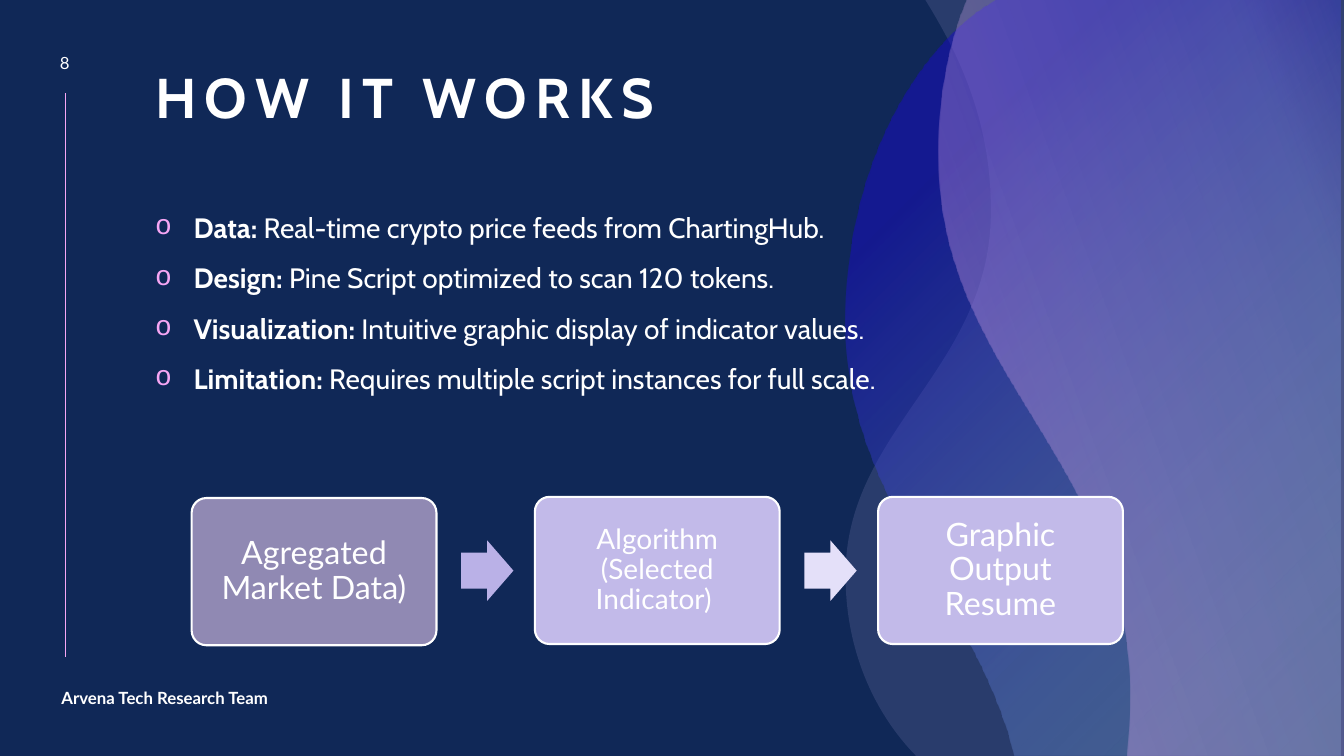
import pptx
import pptx.util
import pptx.dml.color
import pptx.enum.shapes
import pptx.enum.text
import pptx.oxml
import pptx.oxml.ns
from lxml import etree

Cm = pptx.util.Cm
Pt = pptx.util.Pt
SHAPES = pptx.enum.shapes.MSO_SHAPE
ALIGN = pptx.enum.text.PP_ALIGN
ANCHOR = pptx.enum.text.MSO_ANCHOR
qn = pptx.oxml.ns.qn
NS = 'xmlns:a="http://schemas.openxmlformats.org/drawingml/2006/main"'
W, H = 33.87, 19.05
CORNER = '<a:path path="circle"><a:fillToRect l="100000" t="100000"/></a:path>'

# Each wave: top edge x, right edge, bottom edge x, start of the curve,
# then three points (two controls, one end) per Bézier segment
BACK_WAVE = (23.32, W, 23.09, (23.06, 19.02), [
    (22.1, 18.03), (21.29, 16.46), (21.31, 14.43),
    (21.34, 10.85), (24.89, 9.3), (24.97, 5.46),
    (25.02, 3.07), (24.13, 1.32), (23.37, 0.08)])
BLUE_WAVE = (25.1, 33.78, 25.55, (25.43, 18.57), [
    (24.28, 14.81), (21.34, 12.5), (21.31, 8.18),
    (21.29, 4.19), (23.09, 1.4), (24.71, 0.25)])
PINK_WAVE = (24.36, W, 28.4, (28.45, 18.31), [
    (28.47, 17.98), (28.47, 17.63), (28.47, 17.3),
    (28.37, 11.63), (23.67, 9.35), (23.65, 4.04),
    (23.62, 2.69), (23.83, 1.5), (24.18, 0.46)])

BULLETS = [
    ("Data:", " Real-time crypto price feeds from ChartingHub."),
    ("Design:", " Pine Script optimized to scan 120 tokens."),
    ("Visualization: ", "Intuitive graphic display of indicator values."),
    ("Limitation: ", "Requires multiple script instances for full scale."),
]
# Text, size, inset, top, fill
STEPS = [
    ("Agregated Market Data)", 23, 0.27, 12.55, "9089B3"),
    ("Algorithm (Selected Indicator) ", 20, 0.2, 12.52, "C2BAE9"),
    ("Graphic Output Resume", 23, 0.27, 12.52, "C2BAE9"),
]
ARROW_FILLS = ["BAB1E7", "E4E0F9"]
STEP_PITCH = 8.65


def rgb(hex_color):
    return pptx.dml.color.RGBColor.from_string(hex_color)


def bend(sp, count):
    """Turn the last count line segments, three at a time, into Béziers."""
    lines = sp._element.findall(".//" + qn("a:lnTo"))[-count:]
    for i in range(0, count, 3):
        curve = pptx.oxml.parse_xml(f"<a:cubicBezTo {NS}/>")
        lines[i].addprevious(curve)
        for line in lines[i:i + 3]:
            curve.append(line[0])
            line.getparent().remove(line)


def color_xml(color, alpha):
    return (f'<a:srgbClr val="{color}"><a:alpha val="{alpha * 1000}"/>'
            '</a:srgbClr>')


def solid_xml(color, alpha):
    return f'<a:solidFill {NS}>{color_xml(color, alpha)}</a:solidFill>'


def gradient_xml(stops, direction):
    gs = "".join(f'<a:gs pos="{pos * 1000}">{color_xml(color, alpha)}</a:gs>'
                 for pos, color, alpha in stops)
    return (f'<a:gradFill {NS} rotWithShape="1"><a:gsLst>{gs}</a:gsLst>'
            f'{direction}</a:gradFill>')


def add_text(p, text, size=12, font="Lato", bold=False, spacing=0):
    r = p.add_run()
    r.text = text
    r.font.size = Pt(size)
    r.font.name = font
    r.font.bold = bold
    r.font.color.rgb = rgb("FFFFFF")
    if spacing:
        r.font._element.set("spc", str(spacing * 100))


def add_bullet(p, char, color, indent):
    pPr = p._p.get_or_add_pPr()
    pPr.set("marL", str(Cm(indent)))
    pPr.set("indent", str(-Cm(indent)))
    for xml in (f'<a:buClr {NS}><a:srgbClr val="{color}"/></a:buClr>',
                f'<a:buFont {NS} typeface="Courier New"/>',
                f'<a:buChar {NS} char="{char}"/>'):
        pPr.append(pptx.oxml.parse_xml(xml))


class Deck:
    """Holds the presentation and the current slide."""

    def __init__(self, background):
        self.prs = pptx.Presentation()
        self.prs.slide_width = Cm(W)
        self.prs.slide_height = Cm(H)
        self.s = self.prs.slides.add_slide(self.prs.slide_layouts[6])
        fill = self.s.background.fill
        fill.solid()
        fill.fore_color.rgb = rgb(background)

    def wave(self, outline, fill_xml):
        top, right, bottom, start, curve = outline
        points = [(right, 0), (right, H), (bottom, H), start] + curve
        fb = self.s.shapes.build_freeform(Cm(top), 0)
        fb.add_line_segments([(Cm(x), Cm(y)) for x, y in points], close=False)
        sp = fb.convert_to_shape()
        bend(sp, len(curve))
        path = sp._element.find(".//" + qn("a:path"))
        path.append(pptx.oxml.parse_xml(f"<a:close {NS}/>"))
        sp.shadow.inherit = False
        sp.line.fill.background()
        sp.fill.background()
        no_fill = sp._element.spPr.find(qn("a:noFill"))
        no_fill.getparent().replace(no_fill, pptx.oxml.parse_xml(fill_xml))

    def line(self, x1, y1, x2, y2, color, width):
        sp = self.s.shapes.add_connector(
            pptx.enum.shapes.MSO_CONNECTOR.STRAIGHT,
            Cm(x1), Cm(y1), Cm(x2), Cm(y2))
        sp.line.color.rgb = rgb(color)
        sp.line.width = Pt(width)
        etree.SubElement(sp._element.spPr, qn("a:effectLst"))

    def shape(self, kind, x, y, w, h, fill, adjustments, outline=0):
        sp = self.s.shapes.add_shape(kind, Cm(x), Cm(y), Cm(w), Cm(h))
        sp.shadow.inherit = False
        for i, value in enumerate(adjustments):
            sp.adjustments[i] = value
        sp.fill.solid()
        sp.fill.fore_color.rgb = rgb(fill)
        if outline:
            sp.line.color.rgb = rgb("FFFFFF")
            sp.line.width = Pt(outline)
        else:
            sp.line.fill.background()
        return sp

    def card(self, x, y, text, size, inset, fill):
        sp = self.shape(SHAPES.ROUNDED_RECTANGLE, x, y, 6.17, 3.71, fill,
                        [0.1], outline=1.5)
        tf = sp.text_frame
        tf.word_wrap = True
        tf.vertical_anchor = ANCHOR.MIDDLE
        tf.margin_left = tf.margin_right = Cm(inset)
        tf.margin_top = tf.margin_bottom = Cm(inset)
        p = tf.paragraphs[0]
        p.alignment = ALIGN.CENTER
        p.line_spacing = 0.9
        add_text(p, text, size=size)

    def text_box(self, x, y, w, h, anchor=ANCHOR.MIDDLE):
        tf = self.s.shapes.add_textbox(Cm(x), Cm(y), Cm(w), Cm(h)).text_frame
        tf.word_wrap = True
        tf.vertical_anchor = anchor
        return tf

    def label(self, x, y, w, h, text, align=ALIGN.LEFT, anchor=ANCHOR.MIDDLE,
              line_spacing=1.0, **style):
        p = self.text_box(x, y, w, h, anchor).paragraphs[0]
        p.alignment = align
        p.line_spacing = line_spacing
        add_text(p, text, **style)

    def bullet_list(self, x, y, w, h, items):
        tf = self.text_box(x, y, w, h)
        for i, (term, detail) in enumerate(items):
            p = tf.add_paragraph() if i else tf.paragraphs[0]
            p.line_spacing = 1.5
            add_bullet(p, "o", "F6A6F4", 0.97)
            add_text(p, term, size=20, font="Cabin", bold=True)
            add_text(p, detail, size=20, font="Cabin")


def main():
    deck = Deck("102857")
    deck.line(1.65, 2.35, 1.65, 16.56, "F6A6F4", 0.5)
    deck.wave(BACK_WAVE, solid_xml("C3B9F2", 14))
    deck.wave(BLUE_WAVE, gradient_xml(
        [(4, "92CDF0", 24), (79, "180DC2", 52)], CORNER))
    deck.wave(PINK_WAVE, gradient_xml(
        [(1, "F6A6F4", 38), (84, "C3B9F2", 20), (100, "F6A6F4", 3)],
        f'<a:lin ang="{340 * 60000}" scaled="0"/>'))

    deck.label(0.91, 1.16, 1.45, 0.86, "8", align=ALIGN.CENTER)
    deck.label(3.66, 0.44, 24.66, 2.97, "HOW IT WORKS", anchor=ANCHOR.BOTTOM,
               line_spacing=0.9, size=40, font="Cabin", bold=True, spacing=6)
    for i, (text, size, inset, top, fill) in enumerate(STEPS):
        deck.card(4.83 + i * STEP_PITCH, top, text, size, inset, fill)
    for i, fill in enumerate(ARROW_FILLS):
        deck.shape(SHAPES.RIGHT_ARROW, 11.62 + i * STEP_PITCH, 13.62,
                   1.32, 1.52, fill, [0.6, 0.5])
    deck.label(1.3, 17.2, 6.48, 0.76, "Arvena Tech Research Team", bold=True)
    deck.bullet_list(3.66, 4.73, 20.12, 5.38, BULLETS)
    deck.prs.save("out.pptx")


if __name__ == "__main__":
    main()
